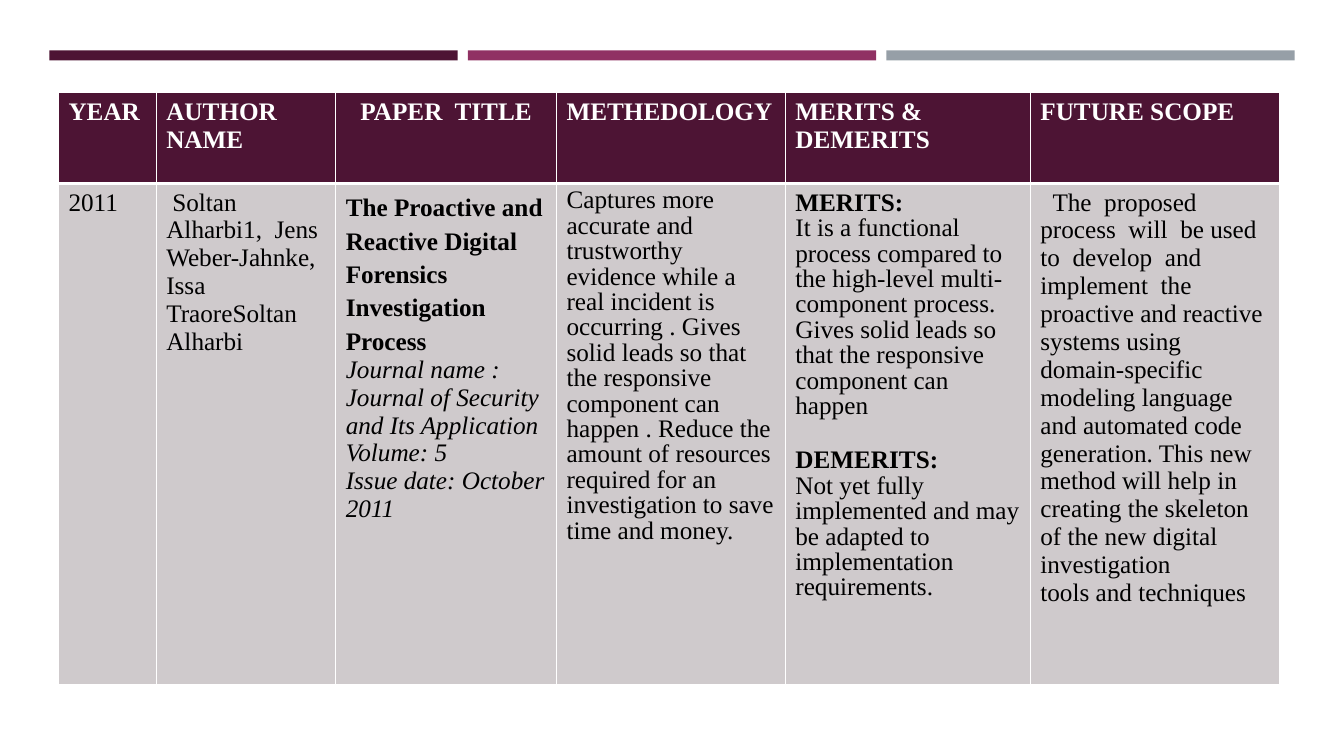
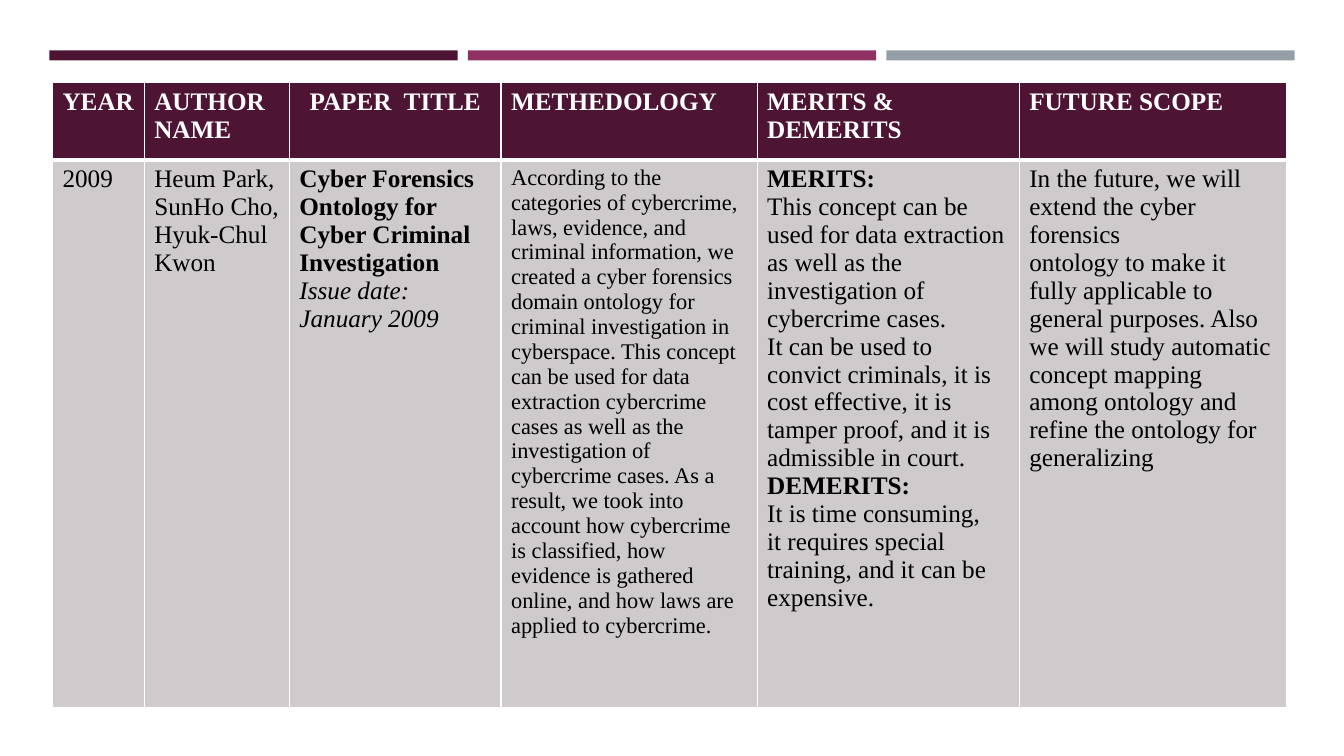
"""Build two literature-survey slides, each with colour bands and a table."""
from lxml import etree
from pptx import Presentation
from pptx import util as u
from pptx.dml.color import RGBColor
from pptx.enum import shapes, text
from pptx.oxml import ns

PX = 9144
COLOURS = {
    "plum": "4D1434",
    "magenta": "903163",
    "steel": "969FA7",
    "cell": "CFCACC",
    "white": "FFFFFF",
    "black": "000000",
}
FONT = "Times New Roman"
BAND_LEFT, BAND_TOP, BAND_WIDTH, BAND_HEIGHT, BAND_STEP = 49, 50, 405, 10, 415
BANDS = ["plum", "magenta", "steel"]

SPAN_DEFAULTS = {"name": FONT, "size": u.Pt(18), "bold": False, "italic": False}
STYLES = {
    "header": {"colour": "white", "span": {"bold": True}},
    "header centred": {
        "colour": "white",
        "span": {"bold": True},
        "para": {"alignment": text.PP_ALIGN.CENTER},
    },
    "plain": {},
    "small": {"span": {"size": u.Pt(16)}},
    "tight": {"para": {"line_spacing": 0.91}},
    "bold": {"span": {"bold": True}},
    "bold apart": {"span": {"bold": True}, "para": {"space_before": u.Pt(19)}},
    "bold loose": {"span": {"bold": True}, "para": {"line_spacing": 1.2}},
    "italic": {"span": {"italic": True}},
    "narrow indent": {"indent": 6},
    "wide indent": {"indent": 12},
}

HEADINGS = [
    [("header", "YEAR")],
    [("header", "AUTHOR NAME")],
    [("header centred", "PAPER  TITLE")],
    [("header", "METHEDOLOGY")],
    [("header", "MERITS & DEMERITS")],
    [("header", "FUTURE SCOPE")],
]
PAPERS = [
    {
        "corner": (58, 92),
        "columns": [97, 178, 219, 227, 243, 247],
        "rows": [90, 497],
        "cells": [
            [("plain", "2011")],
            [
                ("narrow indent", "Soltan Alharbi1,  Jens Weber-Jahnke,"),
                ("plain", "Issa TraoreSoltan Alharbi"),
            ],
            [
                ("bold loose", "The Proactive and Reactive Digital Forensics "
                 "Investigation Process"),
                ("italic", "Journal name : Journal of Security and Its Application"),
                ("italic", "Volume: 5"),
                ("italic", "Issue date: October 2011"),
            ],
            [
                ("tight", "Captures more accurate and trustworthy evidence while a "
                 "real incident is occurring . Gives solid leads so that the "
                 "responsive component can happen . Reduce the amount of resources "
                 "required for an investigation to save time and money."),
            ],
            [
                ("bold", "MERITS:"),
                ("tight", "It is a functional process compared to the high-level "
                 "multi-component process. Gives solid leads so that the "
                 "responsive component can happen"),
                ("bold apart", "DEMERITS:"),
                ("tight", "Not yet fully implemented and may be adapted to "
                 "implementation requirements."),
            ],
            [
                ("wide indent", "The  proposed  process  will  be used  to  develop  "
                 "and implement  the"),
                ("plain", "proactive and reactive systems using domain-specific "
                 "modeling language and automated code"),
                ("plain", "generation. This new method will help in creating the "
                 "skeleton of the new digital investigation"),
                ("plain", "tools and techniques"),
            ],
        ],
    },
    {
        "corner": (52, 82),
        "columns": [91, 144, 210, 254, 260, 265],
        "rows": [77, 543],
        "cells": [
            [("plain", "2009")],
            [
                ("plain", "Heum Park,"),
                ("plain", "SunHo Cho,"),
                ("plain", "Hyuk-Chul Kwon"),
            ],
            [
                ("bold", "Cyber Forensics Ontology for Cyber Criminal Investigation"),
                ("italic", "Issue date: January 2009"),
            ],
            [
                ("small", "According to the categories of cybercrime, laws, evidence, "
                 "and criminal information, we created a cyber forensics domain "
                 "ontology for criminal investigation in cyberspace. This concept "
                 "can be used for data extraction cybercrime cases as well as the "
                 "investigation of cybercrime cases. As a result, we took into "
                 "account how cybercrime is classified, how evidence is gathered "
                 "online, and how laws are applied to cybercrime."),
            ],
            [
                ("bold", "MERITS:"),
                ("plain", "This concept can be used for data extraction as well as "
                 "the investigation of cybercrime cases."),
                ("plain", "It can be used to convict criminals, it is cost effective, "
                 "it is tamper proof, and it is admissible in court."),
                ("bold", "DEMERITS:"),
                ("plain", "It is time consuming,"),
                ("plain", "it requires special training, and it can be expensive."),
            ],
            [
                ("plain", "In the future, we will extend the cyber forensics"),
                ("plain", "ontology to make it fully applicable to general purposes. "
                 "Also we will study automatic"),
                ("plain", "concept mapping among ontology and refine the ontology "
                 "for generalizing"),
            ],
        ],
    },
]


def px(length):
    return u.Emu(length * PX)


def colour(name):
    return RGBColor.from_string(COLOURS[name])


def set_attributes(target, values):
    for name, value in values.items():
        setattr(target, name, value)


def add_bands(page):
    for index, fill in enumerate(BANDS):
        band = page.shapes.add_shape(
            shapes.MSO_SHAPE.RECTANGLE,
            px(BAND_LEFT + index * BAND_STEP), px(BAND_TOP),
            px(BAND_WIDTH), px(BAND_HEIGHT))
        band.shadow.inherit = False
        band.fill.solid()
        band.fill.fore_color.rgb = colour(fill)
        band.line.fill.background()


def set_borders(cell, widths):
    properties = cell._tc.get_or_add_tcPr()
    for side, width in widths.items():
        line = etree.SubElement(properties, ns.qn(f"a:ln{side}"), w=str(u.Pt(width)))
        fill = etree.SubElement(line, ns.qn("a:solidFill"))
        etree.SubElement(fill, ns.qn("a:srgbClr"), val=COLOURS["white"])


def write_para(para, style, words):
    span = para.add_run()
    span.text = words
    set_attributes(span.font, {**SPAN_DEFAULTS, **style.get("span", {})})
    span.font.color.rgb = colour(style.get("colour", "black"))
    set_attributes(para, style.get("para", {}))
    if "indent" in style:
        properties = para._p.get_or_add_pPr()
        properties.set("marL", "0")
        properties.set("indent", str(px(style["indent"])))


def fill_cell(cell, paras, fill, borders):
    set_borders(cell, borders)
    cell.fill.solid()
    cell.fill.fore_color.rgb = colour(fill)
    for index, (style, words) in enumerate(paras):
        frame = cell.text_frame
        para = frame.add_paragraph() if index else frame.paragraphs[0]
        write_para(para, STYLES[style], words)


def add_paper_table(page, paper):
    columns, rows = paper["columns"], paper["rows"]
    left, top = paper["corner"]
    table = page.shapes.add_table(
        len(rows), len(columns), px(left), px(top),
        px(sum(columns)), px(sum(rows))).table
    table.horz_banding = False
    for column, width in zip(table.columns, columns):
        column.width = px(width)
    for row, height in zip(table.rows, rows):
        row.height = px(height)
    looks = [
        (HEADINGS, "plum", {"L": 1, "R": 1, "T": 1, "B": 3}),
        (paper["cells"], "cell", {"L": 1, "R": 1, "T": 3, "B": 1}),
    ]
    for row, (contents, fill, borders) in zip(table.rows, looks):
        for cell, paras in zip(row.cells, contents):
            fill_cell(cell, paras, fill, borders)


def main():
    deck = Presentation()
    deck.slide_width, deck.slide_height = px(1333), px(750)
    for paper in PAPERS:
        page = deck.slides.add_slide(deck.slide_layouts[6])
        add_bands(page)
        add_paper_table(page, paper)
    deck.save("out.pptx")


if __name__ == "__main__":
    main()
